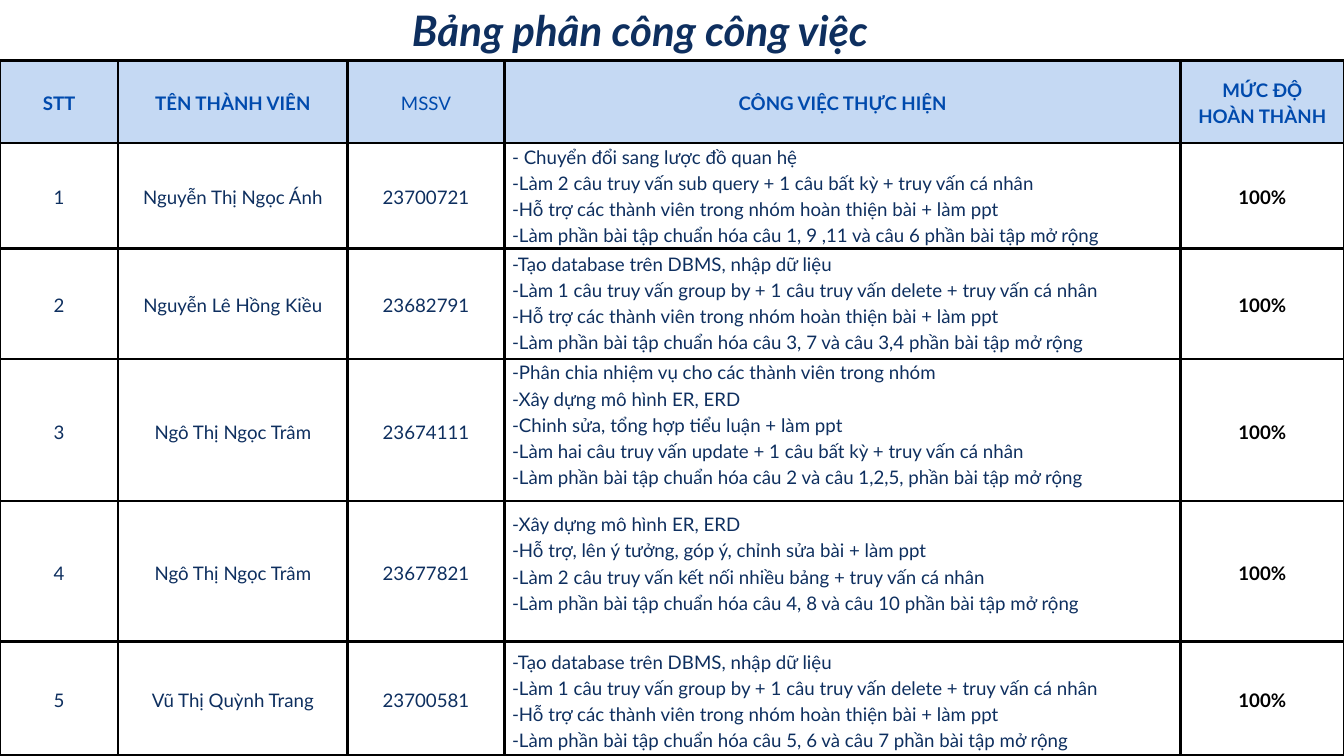
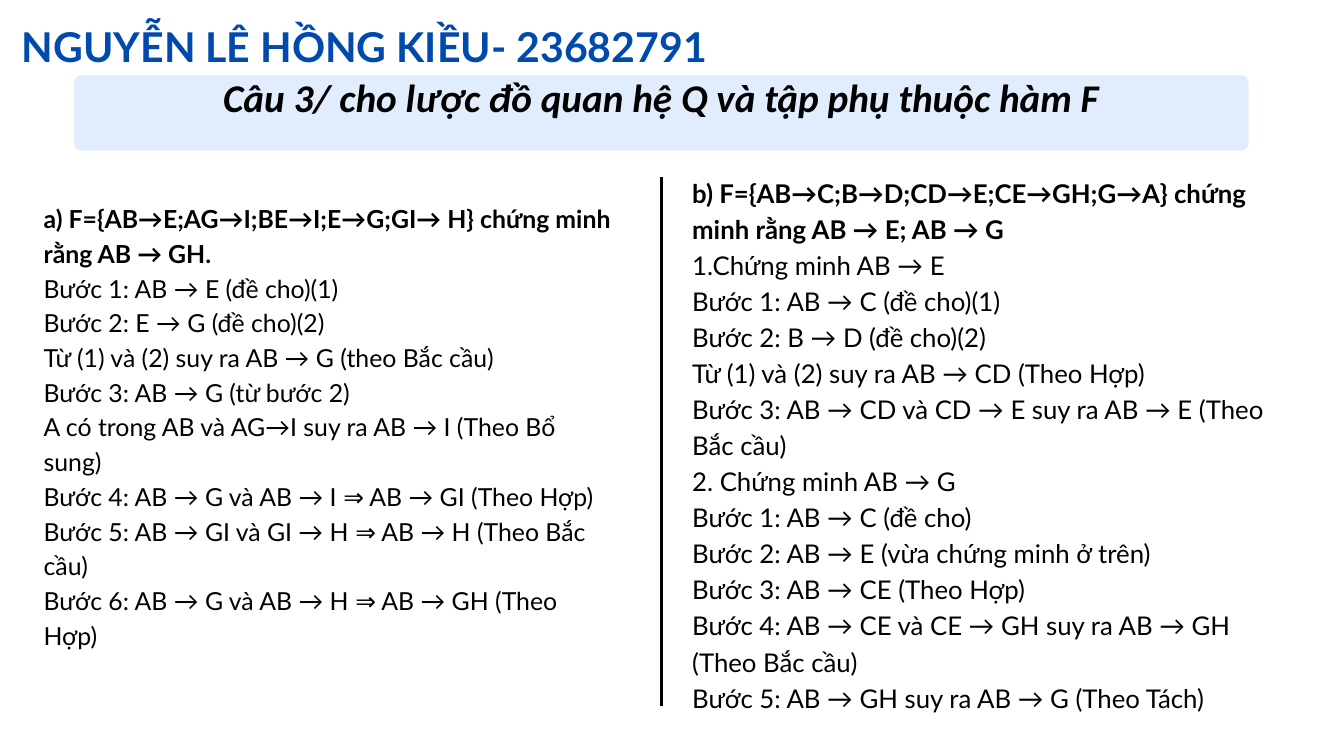
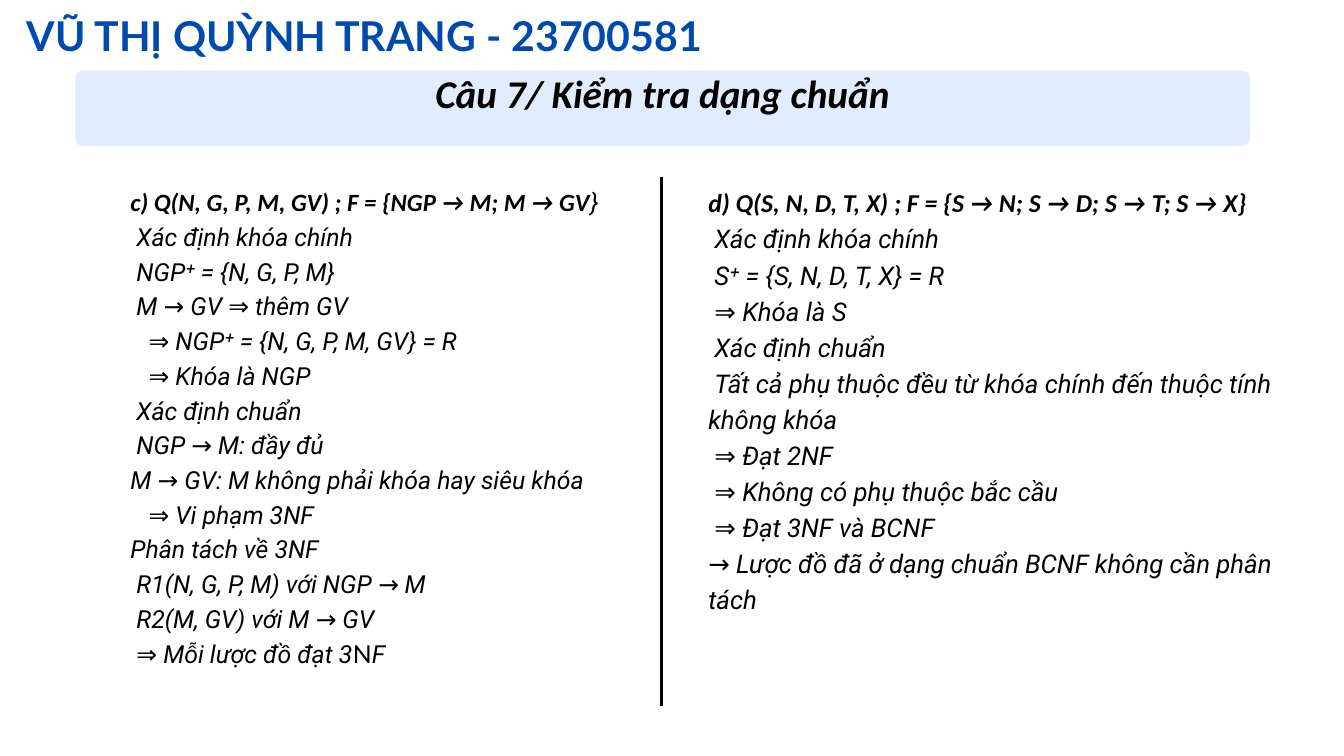
from dataclasses import dataclass, replace

from lxml import etree
from pptx import Presentation
from pptx.dml.color import RGBColor
from pptx.enum.shapes import MSO_CONNECTOR as CONNECTOR, MSO_SHAPE as SHAPE
from pptx.enum.text import MSO_ANCHOR as ANCHOR, PP_ALIGN as ALIGN
from pptx.oxml.ns import qn
from pptx.util import Inches, Pt

COLORS = {
    "black": "000000",
    "navy": "0E2F5F",
    "blue": "004AAD",
    "header": "C5D9F3",
    "band": "E1EDFC",
}


@dataclass(frozen=True)
class Style:
    size: float
    font: str = "Lato"
    color: str = "black"
    bold: bool = False
    italic: bool = False
    leading: float = 1.4


@dataclass(frozen=True)
class Line:
    fragments: tuple
    indent: float = 0


SHEET_TITLE = Style(45, color="navy", bold=True, italic=True, leading=1.27)
MEMBER = Style(44, color="blue", bold=True)
QUESTION = Style(42, "Calibri", bold=True, italic=True)
TASK = Style(20, color="navy")
HEADER = Style(20, color="blue", bold=True)
DONE = Style(20, bold=True)
LEFT_PROOF = Style(26.6)
RIGHT_PROOF = Style(27.6)

HEADINGS = ["STT", "TÊN THÀNH VIÊN", "MSSV", "CÔNG VIỆC THỰC HIỆN", "MỨC ĐỘ HOÀN THÀNH"]
COLUMN_WIDTHS = [1.76, 3.41, 2.34, 10.06, 2.43]
ROW_HEIGHTS = [1.23, 1.57, 1.64, 2.12, 2.09, 1.69]
SUPPORT = "-Hỗ trợ các thành viên trong nhóm hoàn thiện bài + làm ppt"
MODEL = "-Xây dựng mô hình ER, ERD"
DATABASE = "-Tạo database trên DBMS, nhập dữ liệu"

MEMBERS = [
    ("Nguyễn Thị Ngọc Ánh", "23700721", 2.11, [
        "- Chuyển đổi sang lược đồ quan hệ",
        "-Làm 2 câu truy vấn sub query + 1 câu bất kỳ + truy vấn cá nhân",
        SUPPORT,
        "-Làm phần bài tập chuẩn hóa câu 1, 9 ,11 và câu 6 phần bài tập mở rộng",
    ]),
    ("Nguyễn Lê Hồng Kiều", "23682791", 3.7, [
        DATABASE,
        "-Làm 1 câu truy vấn group by + 1 câu truy vấn delete + truy vấn cá nhân",
        SUPPORT,
        "-Làm phần bài tập chuẩn hóa câu 3, 7 và câu 3,4 phần bài tập mở rộng",
    ]),
    ("Ngô Thị Ngọc Trâm", "23674111", 5.32, [
        "-Phân chia nhiệm vụ cho các thành viên trong nhóm",
        MODEL,
        "-Chinh sửa, tổng hợp tiểu luận + làm ppt",
        "-Làm hai câu truy vấn update + 1 câu bất kỳ + truy vấn cá nhân",
        "-Làm phần bài tập chuẩn hóa câu 2 và câu 1,2,5, phần bài tập mở rộng",
    ]),
    ("Ngô Thị Ngọc Trâm", "23677821", 7.58, [
        MODEL,
        "-Hỗ trợ, lên ý tưởng, góp ý, chỉnh sửa bài + làm ppt",
        "-Làm 2 câu truy vấn kết nối nhiều bảng + truy vấn cá nhân",
        "-Làm phần bài tập chuẩn hóa câu 4, 8 và câu 10 phần bài tập mở rộng",
    ]),
    ("Vũ Thị Quỳnh Trang", "23700581", 9.63, [
        DATABASE,
        "-Làm 1 câu truy vấn group by + 1 câu truy vấn delete + truy vấn cá nhân",
        SUPPORT,
        "-Làm phần bài tập chuẩn hóa câu 5, 6 và câu 7 phần bài tập mở rộng",
    ]),
]

CLOSURE_A = [
    "a) F={AB→E;AG→I;BE→I;E→G;GI→ H} chứng minh rằng AB → GH.",
    "Bước 1: AB → E (đề cho)(1)",
    "Bước 2: E → G (đề cho)(2)",
    "Từ (1) và (2) suy ra AB → G (theo Bắc cầu)",
    "Bước 3: AB → G (từ bước 2)",
    "A có trong AB và AG→I suy ra AB → I (Theo Bổ sung)",
    "Bước 4: AB → G và AB → I ⇒ AB → GI (Theo Hợp)",
    "Bước 5: AB → GI và GI → H ⇒ AB → H (Theo Bắc cầu)",
    "Bước 6: AB → G và AB → H ⇒ AB → GH (Theo Hợp)",
]
CLOSURE_B = [
    "b) F={AB→C;B→D;CD→E;CE→GH;G→A} chứng minh rằng AB → E; AB → G",
    "1.Chứng minh AB → E",
    "Bước 1: AB → C (đề cho)(1)",
    "Bước 2: B → D (đề cho)(2)",
    "Từ (1) và (2) suy ra AB → CD (Theo Hợp)",
    "Bước 3: AB → CD và CD → E suy ra AB → E (Theo Bắc cầu)",
    "2. Chứng minh AB → G",
    "Bước 1: AB → C (đề cho)",
    "Bước 2: AB → E (vừa chứng minh ở trên)",
    "Bước 3: AB → CE (Theo Hợp)",
    "Bước 4: AB → CE và CE → GH suy ra AB → GH (Theo Bắc cầu)",
    "Bước 5: AB → GH suy ra AB → G (Theo Tách)",
]
NORMAL_FORM_C = [
    (0.09, "Xác định khóa chính"),
    (0.09, "NGP⁺ = {N, G, P, M}"),
    (0.09, "M → GV ⇒ thêm GV"),
    (0.27, "⇒ NGP⁺ = {N, G, P, M, GV} = R"),
    (0.27, "⇒ Khóa là NGP"),
    (0.09, "Xác định chuẩn"),
    (0.09, "NGP → M: đầy đủ"),
    (0, "M → GV: M không phải khóa hay siêu khóa"),
    (0.27, "⇒ Vi phạm 3NF"),
    (0, "Phân tách về 3NF"),
    (0.09, "R1(N, G, P, M) với NGP → M"),
    (0.09, "R2(M, GV) với M → GV"),
]
NORMAL_FORM_D = [
    (0.09, "Xác định khóa chính"),
    (0.09, "S⁺ = {S, N, D, T, X} = R"),
    (0.09, "⇒ Khóa là S"),
    (0.09, "Xác định chuẩn"),
    (0.09, "Tất cả phụ thuộc đều từ khóa chính đến thuộc tính không khóa"),
    (0.09, "⇒ Đạt 2NF"),
    (0.09, "⇒ Không có phụ thuộc bắc cầu"),
    (0.09, "⇒ Đạt 3NF và BCNF"),
    (0, "→ Lược đồ đã ở dạng chuẩn BCNF không cần phân tách"),
]


def rgb(name):
    return RGBColor.from_string(COLORS[name])


def plain(texts, style):
    return [Line(((text, style),)) for text in texts]


def closure_proof(texts, style):
    return plain(texts[:1], replace(style, bold=True)) + plain(texts[1:], style)


def normal_form_styles(style):
    heading = replace(style, font="Calibri", bold=True, italic=True)
    return heading, replace(style, font="Roboto", italic=True)


def format_run(run, style):
    font = run.font
    font.name, font.size = style.font, Pt(style.size)
    font.bold, font.italic = style.bold, style.italic
    font.color.rgb = rgb(style.color)


def write_lines(frame, lines, align):
    for number, line in enumerate(lines):
        paragraph = frame.add_paragraph() if number else frame.paragraphs[0]
        paragraph.alignment = align
        style = line.fragments[0][1]
        paragraph.line_spacing = Pt(round(style.size * style.leading, 1))
        if line.indent:
            paragraph._p.get_or_add_pPr().set("indent", str(Inches(line.indent)))
        for text, fragment_style in line.fragments:
            run = paragraph.add_run()
            run.text = text
            format_run(run, fragment_style)


def add_text(slide, left, top, width, height, lines, align=ALIGN.LEFT):
    box = slide.shapes.add_textbox(Inches(left), Inches(top), Inches(width), Inches(height))
    frame = box.text_frame
    frame.word_wrap = True
    frame.margin_left = frame.margin_top = frame.margin_right = frame.margin_bottom = 0
    write_lines(frame, lines, align)


def border_cell(cell):
    properties = cell._tc.get_or_add_tcPr()
    for position, side in enumerate(("a:lnL", "a:lnR", "a:lnT", "a:lnB")):
        border = etree.Element(qn(side), w=str(Pt(3)))
        fill = etree.SubElement(border, qn("a:solidFill"))
        etree.SubElement(fill, qn("a:srgbClr"), val=COLORS["black"])
        properties.insert(position, border)


def fill_cell(cell, text, style, fill=None):
    cell.vertical_anchor = ANCHOR.MIDDLE
    cell.margin_left = cell.margin_top = cell.margin_right = cell.margin_bottom = Inches(0.21)
    if fill:
        cell.fill.solid()
        cell.fill.fore_color.rgb = rgb(fill)
    else:
        cell.fill.background()
    border_cell(cell)
    if text:
        write_lines(cell.text_frame, plain([text], style), ALIGN.CENTER)


def add_assignment_table(slide):
    frame = slide.shapes.add_table(
        len(ROW_HEIGHTS), len(COLUMN_WIDTHS), 0, Inches(0.9), Inches(20), Inches(10.35))
    table = frame.table
    table.first_row = table.horz_banding = False
    for column, width in zip(table.columns, COLUMN_WIDTHS):
        column.width = Inches(width)
    for row, height in zip(table.rows, ROW_HEIGHTS):
        row.height = Inches(height)
    for column, heading in enumerate(HEADINGS):
        style = replace(HEADER, bold=heading != "MSSV")
        fill_cell(table.cell(0, column), heading, style, "header")
    for number, (name, student_id, _, _) in enumerate(MEMBERS, 1):
        for column, value in enumerate([str(number), name, student_id, "", "100%"]):
            fill_cell(table.cell(number, column), value, DONE if column == 4 else TASK)


def add_question_band(slide, left, top, question):
    band = slide.shapes.add_shape(
        SHAPE.ROUNDED_RECTANGLE, Inches(left), Inches(top), Inches(17.48), Inches(1.12))
    band.adjustments[0] = 0.1
    band.shadow.inherit = False
    band.fill.solid()
    band.fill.fore_color.rgb = rgb("band")
    band.line.fill.background()
    add_text(slide, left, top - 0.14, 17.48, 0.82, plain([question], QUESTION), ALIGN.CENTER)


def add_divider(slide):
    divider = slide.shapes.add_connector(
        CONNECTOR.STRAIGHT, Inches(9.84), Inches(10.51), Inches(9.84), Inches(2.64))
    divider.line.color.rgb = rgb("black")
    divider.line.width = Pt(3)
    etree.SubElement(divider._element.spPr, qn("a:effectLst"))


def add_exercise(slide, member, member_top, band_left, band_top, question):
    add_question_band(slide, band_left, band_top, question)
    add_text(slide, 0.32, member_top, 10.22, 0.83, plain([member], MEMBER), ALIGN.CENTER)
    add_divider(slide)


def build_assignment(slide):
    add_assignment_table(slide)
    add_text(slide, 6.13, 0.02, 13.34, 0.89, plain(["Bảng phân công công việc"], SHEET_TITLE))
    for _, _, top, tasks in MEMBERS:
        add_text(slide, 7.62, top, 9.9, 0.39 * len(tasks), plain(tasks, TASK))


def build_closure(slide):
    add_exercise(slide, "NGUYỄN LÊ HỒNG KIỀU- 23682791", 0.2, 1.1, 1.12,
                 "Câu 3/ cho lược đồ quan hệ Q và tập phụ thuộc hàm F")
    add_text(slide, 0.65, 2.96, 8.5, 6.62, closure_proof(CLOSURE_A, LEFT_PROOF))
    add_text(slide, 10.3, 2.57, 8.91, 8.6, closure_proof(CLOSURE_B, RIGHT_PROOF))


def build_normal_forms(slide):
    add_exercise(slide, "VŨ THỊ QUỲNH TRANG - 23700581", 0.03, 1.12, 1.05,
                 "Câu 7/ Kiểm tra dạng chuẩn")
    heading, body = normal_form_styles(LEFT_PROOF)
    opening = Line((("c) Q(N, G, P, M, GV) ; F = {NGP → M; M → GV", heading), ("}", body)))
    steps = [Line(((text, body),), indent) for indent, text in NORMAL_FORM_C]
    result = Line((("⇒ Mỗi lược đồ đạt 3", body), ("N", LEFT_PROOF), ("F", body)), 0.09)
    add_text(slide, 1.94, 2.71, 7.91, 7.64, [opening, *steps, result])

    heading, body = normal_form_styles(RIGHT_PROOF)
    opening = plain(["d) Q(S, N, D, T, X) ; F = {S → N; S → D; S → T; S → X}"], heading)
    steps = [Line(((text, body),), indent) for indent, text in NORMAL_FORM_D]
    add_text(slide, 10.54, 2.71, 8.91, 6.87, opening + steps)


def main():
    deck = Presentation()
    deck.slide_width, deck.slide_height = Inches(20), Inches(11.25)
    for build in (build_assignment, build_closure, build_normal_forms):
        build(deck.slides.add_slide(deck.slide_layouts[6]))
    deck.save("out.pptx")


if __name__ == "__main__":
    main()
